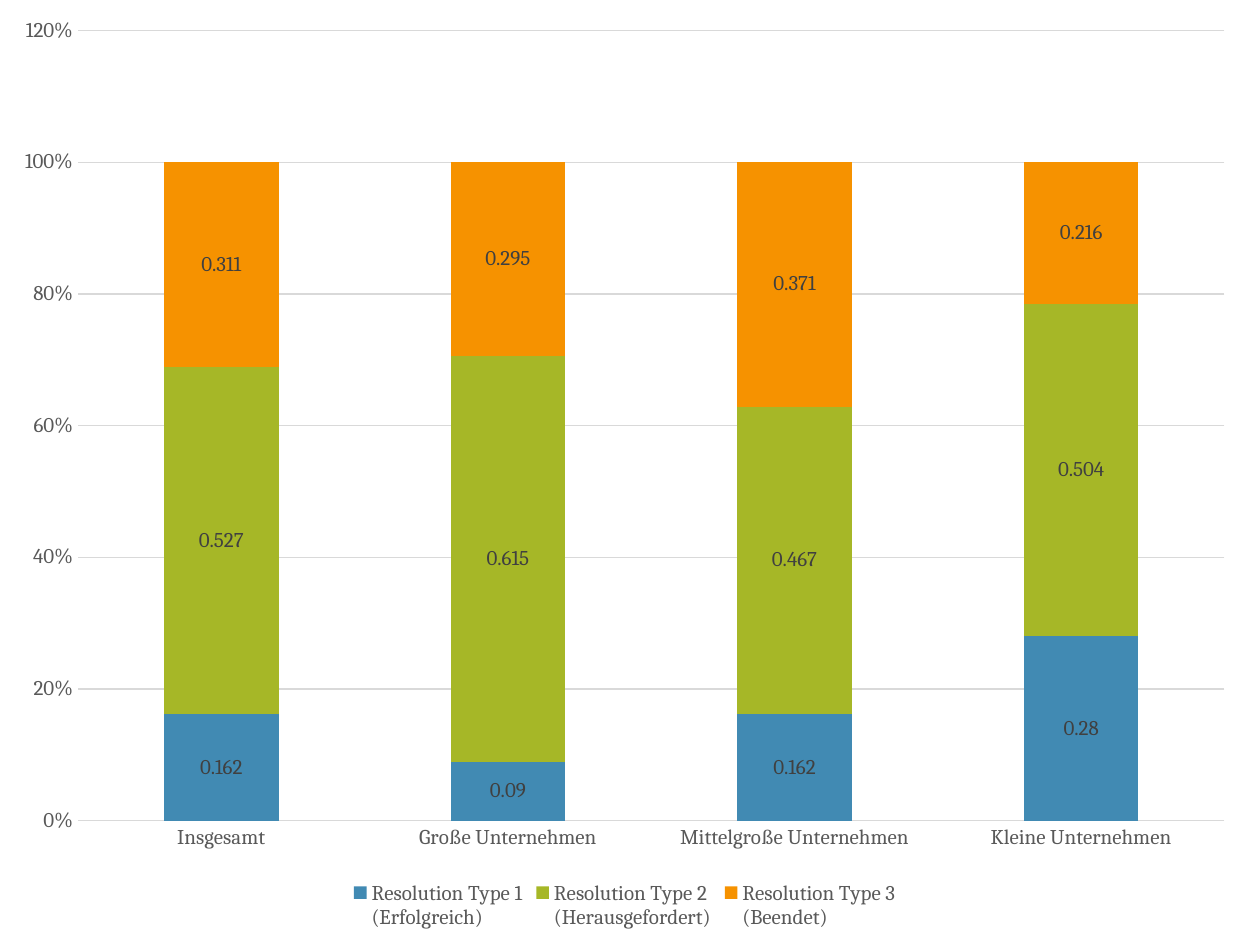
from typing import NamedTuple

from pptx import Presentation
from pptx.chart.data import CategoryChartData
from pptx.dml.color import RGBColor
from pptx.enum.chart import XL_CHART_TYPE, XL_LEGEND_POSITION, XL_TICK_MARK
from pptx.util import Pt

BLUE = RGBColor(0x41, 0x8A, 0xB3)
GREEN = RGBColor(0xA6, 0xB7, 0x27)
ORANGE = RGBColor(0xF6, 0x92, 0x00)
BLACK = RGBColor(0, 0, 0)
LABEL_GREY = RGBColor(0x40, 0x40, 0x40)
TEXT_GREY = RGBColor(0x59, 0x59, 0x59)
LINE_GREY = RGBColor(0xD9, 0xD9, 0xD9)
FONT = "Cambria"


class Resolution(NamedTuple):
    """One series of the stacked columns."""
    name: str
    values: tuple[float, ...]
    color: RGBColor


CATEGORIES = ("Insgesamt", "Große Unternehmen",
              "Mittelgroße Unternehmen", "Kleine Unternehmen")
RESOLUTIONS = (
    Resolution("Resolution Type 1\n(Erfolgreich)", (0.162, 0.09, 0.162, 0.28), BLUE),
    Resolution("Resolution Type 2\n(Herausgefordert)", (0.527, 0.615, 0.467, 0.504), GREEN),
    Resolution("Resolution Type 3\n(Beendet)", (0.311, 0.295, 0.371, 0.216), ORANGE),
)


def set_font(font, color: RGBColor, size: float = 12) -> None:
    """Apply the chart typeface, size and colour."""
    font.name = FONT
    font.size = Pt(size)
    font.color.rgb = color


def set_line(line) -> None:
    """Draw a thin grey line."""
    line.color.rgb = LINE_GREY
    line.width = Pt(0.75)


def style_axes(chart) -> None:
    """Format both axes and the gridlines."""
    for axis in (chart.category_axis, chart.value_axis):
        axis.major_tick_mark = axis.minor_tick_mark = XL_TICK_MARK.NONE
        set_font(axis.tick_labels.font, TEXT_GREY)
    set_line(chart.category_axis.format.line)
    value_axis = chart.value_axis
    value_axis.minimum_scale, value_axis.maximum_scale = 0, 1.2
    value_axis.major_unit = 0.2
    value_axis.format.line.fill.background()
    value_axis.has_major_gridlines = True
    set_line(value_axis.major_gridlines.format.line)
    value_axis.tick_labels.number_format = "0%"
    value_axis.tick_labels.number_format_is_linked = False


def style_series(series, color: RGBColor) -> None:
    """Fill a series and show its values."""
    series.format.fill.solid()
    series.format.fill.fore_color.rgb = color
    series.invert_if_negative = False
    labels = series.data_labels
    labels.show_value = True
    set_font(labels.font, LABEL_GREY)


def add_resolution_chart(s) -> None:
    """Add the stacked column chart of project resolutions."""
    data = CategoryChartData()
    data.categories = CATEGORIES
    for item in RESOLUTIONS:
        data.add_series(item.name, item.values)
    chart = s.shapes.add_chart(XL_CHART_TYPE.COLUMN_STACKED, Pt(0), Pt(0),
                               Pt(714), Pt(534), data).chart
    set_font(chart.font, BLACK, 10)
    chart.has_title = False
    chart.has_legend = True
    chart.legend.position = XL_LEGEND_POSITION.BOTTOM
    chart.legend.include_in_layout = False
    set_font(chart.legend.font, TEXT_GREY)
    style_axes(chart)
    plot = chart.plots[0]
    plot.gap_width, plot.overlap = 150, 100
    plot.vary_by_categories = False
    for series, item in zip(plot.series, RESOLUTIONS):
        style_series(series, item.color)


def main() -> None:
    """Build and save the slide."""
    prs = Presentation()
    prs.slide_width, prs.slide_height = Pt(720), Pt(540)
    s = prs.slides.add_slide(prs.slide_layouts.get_by_name("Blank"))
    add_resolution_chart(s)
    prs.save("out.pptx")


main()
